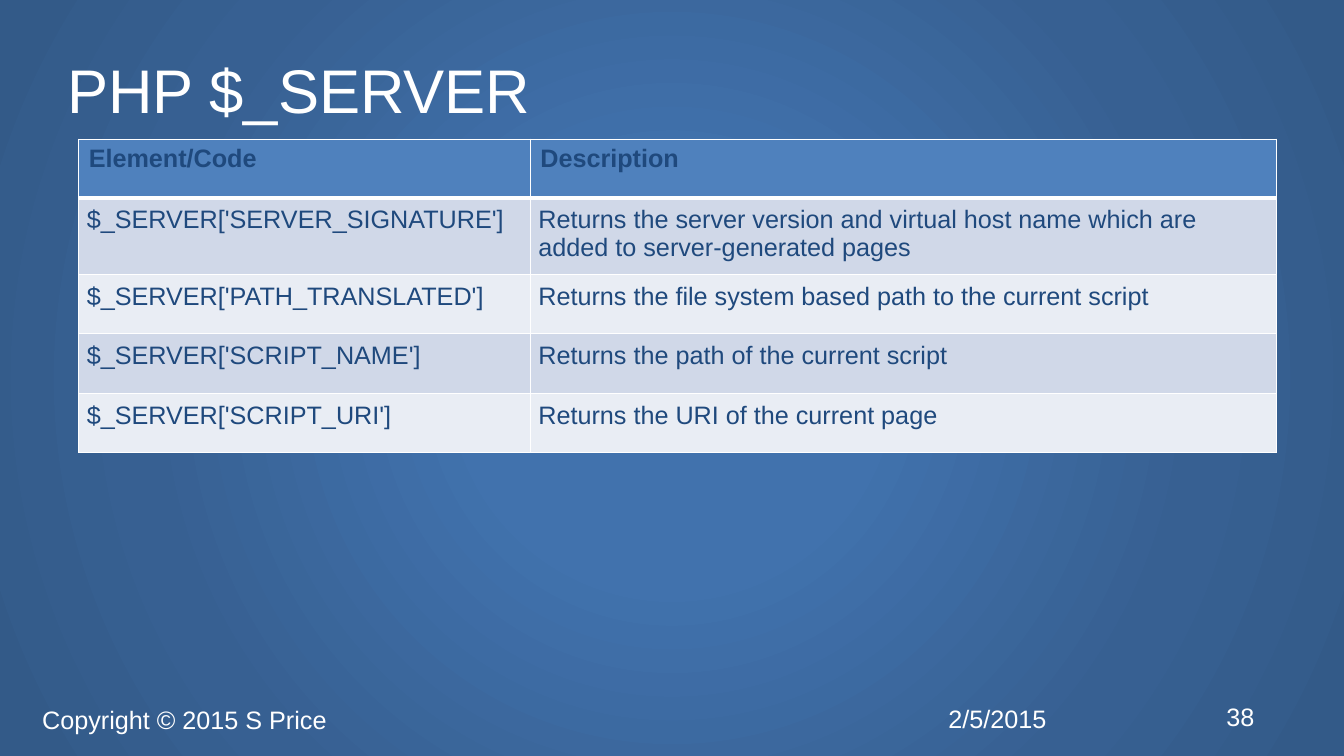
from pptx import Presentation
from pptx.dml.color import RGBColor as Color
from pptx.enum.text import MSO_ANCHOR as Anchor
from pptx.oxml import parse_xml
from pptx.oxml.ns import nsdecls, qn
from pptx.util import Pt

TITLE = "PHP $_SERVER"
FOOTERS = [
    ("2/5/2015", 670.3, 498.2, 126),
    ("Copyright © 2015 S Price", 23, 499, 647.3),
    ("38", 869, 496.8, 43.2),
]
ROWS = [
    ("Element/Code", "Description"),
    ("$_SERVER['SERVER_SIGNATURE']",
     "Returns the server version and virtual host name which are added to server-generated pages"),
    ("$_SERVER['PATH_TRANSLATED']", "Returns the file system based path to the current script"),
    ("$_SERVER['SCRIPT_NAME']", "Returns the path of the current script"),
    ("$_SERVER['SCRIPT_URI']", "Returns the URI of the current page"),
]
THEME = {
    "font": "Arial",
    "title_size": 44,
    "body_size": 18,
    "light": "FFFFFF",
    "ink": "1F497D",
    "header": "4F81BD",
    "bands": ("D0D8E8", "E9EDF4"),
    "backdrop": [(0, "4172AD"), (26, "4172AD"), (69, "376092"), (97, "335A88")],
}
COLUMN_WIDTHS = (322.6, 532.8)
HEADER_HEIGHT, ROW_HEIGHT = 41.8, 42.5
TABLE_LEFT, TABLE_TOP = 56.2, 99.4
CELL_INSET = 5.76
THIN, THICK = 1, 3


def style(paragraph, size, color, bold=False):
    font = paragraph.font
    font.name, font.size, font.bold = THEME["font"], Pt(size), bold
    font.color.rgb = Color.from_string(color)


def paint_background(slide):
    slide.background.fill.gradient()
    stops = "".join(
        f'<a:gs pos="{position * 1000}"><a:srgbClr val="{color}"/></a:gs>'
        for position, color in THEME["backdrop"])
    gradient = parse_xml(
        f'<a:gradFill {nsdecls("a")} rotWithShape="1"><a:gsLst>{stops}</a:gsLst>'
        '<a:path path="circle"><a:fillToRect l="50000" t="50000" r="50000" b="50000"/>'
        '</a:path></a:gradFill>')
    default = slide.element.find(".//" + qn("a:gradFill"))
    default.getparent().replace(default, gradient)


def add_text(slide, text, left, top, width, height, size):
    frame = slide.shapes.add_textbox(Pt(left), Pt(top), Pt(width), Pt(height)).text_frame
    frame.word_wrap = True
    frame.vertical_anchor = Anchor.MIDDLE
    frame.text = text
    style(frame.paragraphs[0], size, THEME["light"])
    return frame


def set_borders(cell, row):
    widths = {"L": THIN, "R": THIN,
              "T": THICK if row == 1 else THIN,
              "B": THICK if row == 0 else THIN}
    properties = cell._tc.get_or_add_tcPr()
    for side, width in widths.items():
        properties.append(parse_xml(
            f'<a:ln{side} {nsdecls("a")} w="{Pt(width)}"><a:solidFill>'
            f'<a:srgbClr val="{THEME["light"]}"/></a:solidFill></a:ln{side}>'))


def fill_cell(cell, text, row):
    cell.text = text
    style(cell.text_frame.paragraphs[0], THEME["body_size"], THEME["ink"], bold=row == 0)
    if row:
        cell.margin_left = cell.margin_right = Pt(CELL_INSET)
        cell.margin_top = cell.margin_bottom = Pt(CELL_INSET)
    set_borders(cell, row)
    cell.fill.solid()
    color = THEME["bands"][(row - 1) % 2] if row else THEME["header"]
    cell.fill.fore_color.rgb = Color.from_string(color)


def add_server_table(slide):
    height = HEADER_HEIGHT + ROW_HEIGHT * (len(ROWS) - 1)
    table = slide.shapes.add_table(
        len(ROWS), len(COLUMN_WIDTHS), Pt(TABLE_LEFT), Pt(TABLE_TOP),
        Pt(sum(COLUMN_WIDTHS)), Pt(height)).table
    for column, width in zip(table.columns, COLUMN_WIDTHS):
        column.width = Pt(width)
    for row, texts in enumerate(ROWS):
        table.rows[row].height = Pt(ROW_HEIGHT if row else HEADER_HEIGHT)
        for column, text in enumerate(texts):
            fill_cell(table.cell(row, column), text, row)


def main():
    presentation = Presentation()
    presentation.slide_width, presentation.slide_height = Pt(960), Pt(540)
    slide = presentation.slides.add_slide(presentation.slide_layouts[6])
    paint_background(slide)
    title = add_text(slide, TITLE, 48, 21.6, 864, 90, THEME["title_size"])
    title.margin_left = title.margin_right = title.margin_top = title.margin_bottom = 0
    title.paragraphs[0].line_spacing = 0.9
    for text, left, top, width in FOOTERS:
        add_text(slide, text, left, top, width, 29.5, THEME["body_size"])
    add_server_table(slide)
    presentation.save("out.pptx")


if __name__ == "__main__":
    main()
